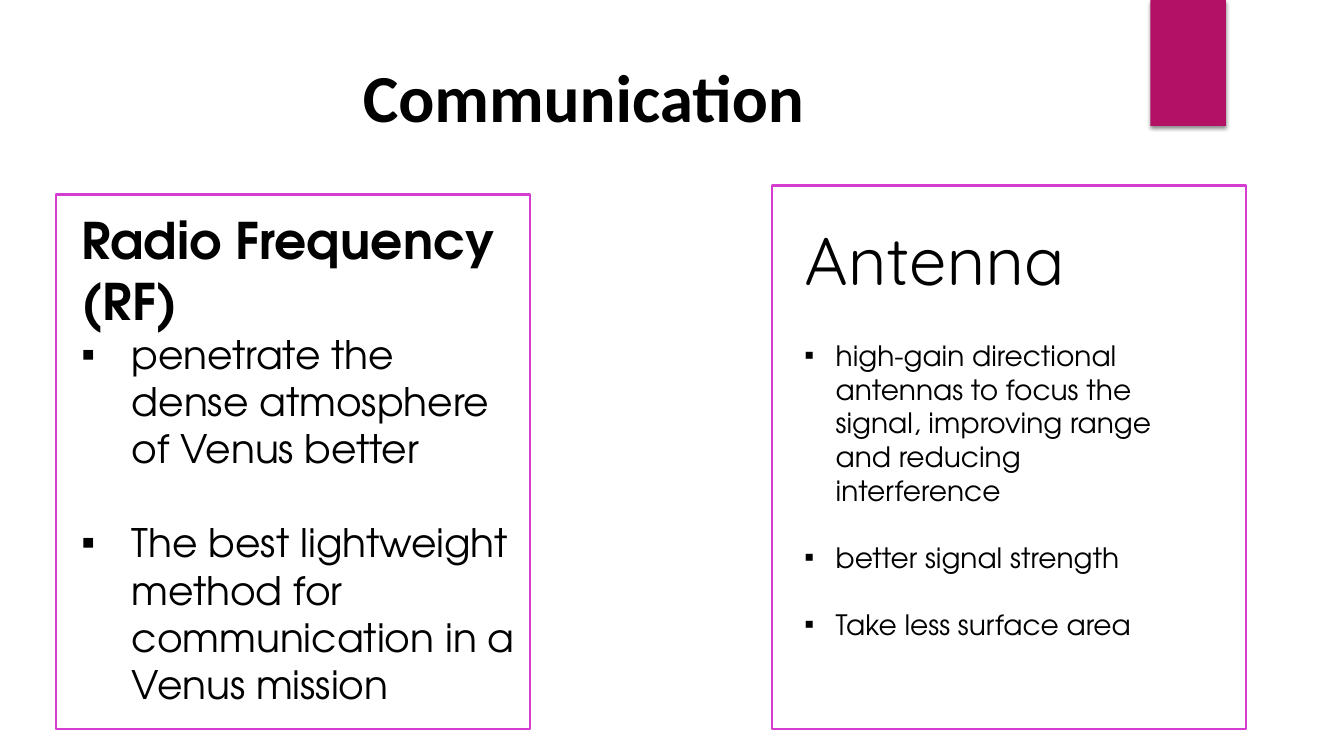
from lxml import etree
from pptx import Presentation
from pptx.dml.color import RGBColor
from pptx.enum.shapes import MSO_SHAPE
from pptx.oxml.ns import qn
from pptx.util import Inches, Pt

RECTANGLE = MSO_SHAPE.RECTANGLE
WIDTH, HEIGHT = 13.33, 7.5
BLACK, WHITE, BERRY, ORCHID = "000000", "FFFFFF", "B31166", "D53DD0"
BODY_FONT = "TeX Gyre Adventor"
LINE_HEIGHT = 1.2

TITLE_FORMAT = {"name": "Calibri", "size": Pt(48), "bold": True}
RADIO_FORMAT = {"name": BODY_FONT, "size": Pt(36), "bold": True}
ANTENNA_FORMAT = {"name": "Quicksand", "size": Pt(48), "bold": False}
RADIO_POINTS = [
    "penetrate the dense atmosphere of Venus better",
    "The best lightweight method for communication in a Venus mission",
]
ANTENNA_POINTS = [
    "high-gain directional antennas to focus the signal, improving range and reducing interference",
    "better signal strength",
    "Take less surface area",
]

# Panels share their width and bottom edge
PANEL_WIDTH, PANEL_BOTTOM = 4.7, 7.23
PANELS = [(7.66, 1.84), (0.56, 1.93)]
RIBBON = (11.41, 0, 0.75, HEIGHT / 6)

# Box, heading, heading format, bullet points, point size, indent
TEXTS = [
    ((3.5, 0.5, 6.17, 0.91), "Communication", TITLE_FORMAT, [], 0, 0),
    ((0.71, 2.03, 4.54, 5.08), "Radio Frequency (RF)", RADIO_FORMAT, RADIO_POINTS, 28, 0.5),
    ((7.88, 2.12, 3.58, 0.91), "Antenna", ANTENNA_FORMAT, [], 0, 0),
    ((7.88, 3.31, 3.91, 3.13), None, {}, ANTENNA_POINTS, 20, 0.31),
]


def color(value):
    return RGBColor.from_string(value)


def add_rectangle(slide, box, fill, line=None):
    shape = slide.shapes.add_shape(RECTANGLE, *map(Inches, box))
    shape.shadow.inherit = False
    shape.fill.solid()
    shape.fill.fore_color.rgb = color(fill)
    if line:
        shape.line.color.rgb = color(line)
        shape.line.width = Pt(1.5)
    else:
        shape.line.fill.background()
    return shape


def add_drop_shadow(shape):
    effects = shape._element.spPr.find(qn("a:effectLst"))
    shadow = etree.SubElement(effects, qn("a:outerShdw"), blurRad=str(Pt(3)),
                              dist=str(Pt(2)), dir="5400000", rotWithShape="0")
    tint = etree.SubElement(shadow, qn("a:srgbClr"), val=BLACK)
    etree.SubElement(tint, qn("a:alpha"), val="45000")


def add_bullet(paragraph, indent):
    properties = paragraph._p.get_or_add_pPr()
    properties.set("marL", str(Inches(indent)))
    properties.set("indent", str(-Inches(indent)))
    etree.SubElement(properties, qn("a:buFont"), typeface="Arial")
    etree.SubElement(properties, qn("a:buChar"), char="▪")


def write(paragraph, text, font_format):
    run = paragraph.add_run()
    run.text = text
    run.font.color.rgb = color(BLACK)
    for name, value in font_format.items():
        setattr(run.font, name, value)


def add_text(slide, box, heading, heading_format, points, size, indent):
    frame = slide.shapes.add_textbox(*map(Inches, box)).text_frame
    frame.word_wrap = True
    paragraph = frame.paragraphs[0]
    if heading:
        write(paragraph, heading, heading_format)
    point_format = {"name": BODY_FONT, "size": Pt(size), "bold": False}
    for index, point in enumerate(points):
        if heading or index:
            paragraph = frame.add_paragraph()
        add_bullet(paragraph, indent)
        if index:
            paragraph.space_before = Pt(size * LINE_HEIGHT)
        write(paragraph, point, point_format)


def main():
    presentation = Presentation()
    presentation.slide_width = Inches(WIDTH)
    presentation.slide_height = Inches(HEIGHT)
    slide = presentation.slides.add_slide(presentation.slide_layouts[6])
    add_drop_shadow(add_rectangle(slide, RIBBON, BERRY))
    for left, top in PANELS:
        add_rectangle(slide, (left, top, PANEL_WIDTH, PANEL_BOTTOM - top), WHITE, ORCHID)
    for text in TEXTS:
        add_text(slide, *text)
    presentation.save("out.pptx")


if __name__ == "__main__":
    main()
